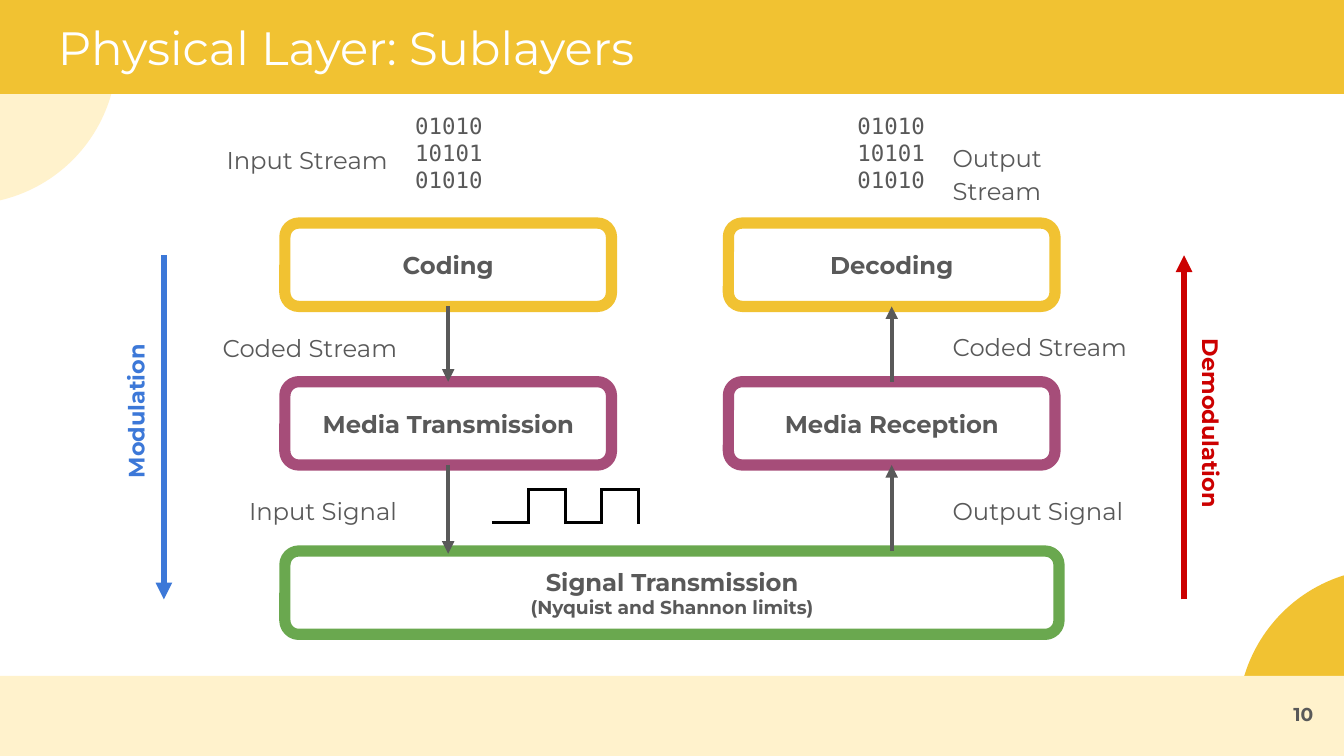
from typing import NamedTuple

from lxml.etree import SubElement
from pptx import Presentation
from pptx.dml.color import RGBColor
from pptx.enum.shapes import MSO_CONNECTOR, MSO_SHAPE as Preset
from pptx.enum.text import MSO_ANCHOR as Anchor, MSO_AUTO_SIZE as AutoSize, PP_ALIGN as Align
from pptx.oxml.ns import qn
from pptx.util import Inches, Pt

WHITE = RGBColor(0xFF, 0xFF, 0xFF)
BLACK = RGBColor(0x00, 0x00, 0x00)
GRAY = RGBColor(0x59, 0x59, 0x59)
YELLOW = RGBColor(0xF1, 0xC2, 0x32)
CREAM = RGBColor(0xFF, 0xF2, 0xCC)
PURPLE = RGBColor(0xA6, 0x4D, 0x79)
GREEN = RGBColor(0x6A, 0xA8, 0x4F)
BLUE = RGBColor(0x3C, 0x78, 0xD8)
RED = RGBColor(0xCC, 0x00, 0x00)

SANS = "Montserrat"
MONO = "DejaVu Sans Mono"
LEFT_BOX, RIGHT_BOX = 2.12, 5.42
BOX_WIDTH, BOX_HEIGHT = 2.43, 0.62
LABEL_WIDTH, LABEL_HEIGHT = 1.55, 0.42
RIGHT_LABEL = 6.99
CODING_TOP, MEDIA_TOP, SIGNAL_TOP = 1.66, 2.84, 4.1


class Area(NamedTuple):
    left: float
    top: float
    width: float
    height: float


class Style(NamedTuple):
    size: float = 13
    color: RGBColor = GRAY
    bold: bool = False
    name: str = SANS


class Decoration(NamedTuple):
    preset: Preset
    area: Area
    color: RGBColor


class Sublayer(NamedTuple):
    area: Area
    color: RGBColor
    lines: tuple


class Label(NamedTuple):
    text: str
    left: float
    top: float
    align: Align


class Direction(NamedTuple):
    text: str
    area: Area
    rotation: int
    color: RGBColor
    x: float
    start: float
    end: float


def inches(values) -> list:
    return [Inches(value) for value in values]


def set_values(target, values: dict) -> None:
    for name, value in values.items():
        setattr(target, name, value)


def write(shape, lines, align=Align.LEFT, anchor=Anchor.TOP, grow=False, spacing=None) -> None:
    frame = shape.text_frame
    margins = dict.fromkeys(("margin_left", "margin_top", "margin_right", "margin_bottom"), Inches(0.1))
    set_values(frame, {
        **margins, "word_wrap": True, "vertical_anchor": anchor,
        "auto_size": AutoSize.SHAPE_TO_FIT_TEXT if grow else AutoSize.NONE,
    })
    for index, (text, style) in enumerate(lines):
        paragraph = frame.add_paragraph() if index else frame.paragraphs[0]
        set_values(paragraph, {"alignment": align, **(spacing or {})})
        run = paragraph.add_run()
        run.text = text
        set_values(run.font, {"size": Pt(style.size), "bold": style.bold, "name": style.name})
        run.font.color.rgb = style.color


def add_text(slide, area: Area, text: str, style: Style, **options):
    shape = slide.shapes.add_textbox(*inches(area))
    write(shape, [(text, style)], **options)
    return shape


def add_decoration(slide, decoration: Decoration) -> None:
    shape = slide.shapes.add_shape(decoration.preset, *inches(decoration.area))
    shape.shadow.inherit = False
    shape.fill.solid()
    shape.fill.fore_color.rgb = decoration.color
    shape.line.fill.background()


def add_sublayer(slide, sublayer: Sublayer):
    shape = slide.shapes.add_shape(Preset.ROUNDED_RECTANGLE, *inches(sublayer.area))
    shape.shadow.inherit = False
    shape.fill.background()
    shape.line.color.rgb = sublayer.color
    shape.line.width = Pt(6)
    write(shape, sublayer.lines, Align.CENTER, Anchor.MIDDLE)
    return shape


def add_line(shapes, start, end, color: RGBColor, width: float, arrow: bool = True):
    connector = shapes.add_connector(MSO_CONNECTOR.STRAIGHT, *inches((*start, *end)))
    connector.line.color.rgb = color
    connector.line.width = Pt(width)
    if arrow:
        SubElement(connector.line._get_or_add_ln(), qn("a:tailEnd"), type="triangle")
    SubElement(connector._element.spPr, qn("a:effectLst"))
    return connector


def add_square_wave(slide, left: float, right: float, high: float, low: float) -> None:
    overlap = 0.01
    steps = 4
    step = (right - left) / steps
    group = slide.shapes.add_group_shape()
    for index in range(steps):
        x = left + index * step
        edge = x + step
        level = high if index % 2 else low
        add_line(group.shapes, (x, level), (edge + overlap, level), BLACK, 1.5, arrow=False)
        add_line(group.shapes, (edge, low + overlap), (edge, high - overlap), BLACK, 1.5, arrow=False)


DECORATIONS = (
    Decoration(Preset.OVAL, Area(9.21, 4.23, 2.25, 2.25), YELLOW),
    Decoration(Preset.RECTANGLE, Area(0, 5.03, 10, 0.6), CREAM),
    Decoration(Preset.OVAL, Area(-1.38, -0.73, 2.25, 2.25), CREAM),
    Decoration(Preset.RECTANGLE, Area(0, 0, 10, 0.7), YELLOW),
)
HEADING = Style(bold=True)
SUBLAYERS = (
    Sublayer(Area(LEFT_BOX, SIGNAL_TOP, 5.76, BOX_HEIGHT), GREEN,
             (("Signal Transmission", HEADING), ("(Nyquist and Shannon limits)", Style(10, bold=True)))),
    *(Sublayer(Area(left, top, BOX_WIDTH, BOX_HEIGHT), color, ((text, HEADING),))
      for text, left, top, color in (
          ("Media Transmission", LEFT_BOX, MEDIA_TOP, PURPLE),
          ("Media Reception", RIGHT_BOX, MEDIA_TOP, PURPLE),
          ("Coding", LEFT_BOX, CODING_TOP, YELLOW),
          ("Decoding", RIGHT_BOX, CODING_TOP, YELLOW))),
)
LABELS = (
    Label("Input Stream", 1.43, 0.95, Align.RIGHT),
    Label("Output Stream", RIGHT_LABEL, 0.93, Align.LEFT),
    Label("Coded Stream", 1.5, 2.35, Align.RIGHT),
    Label("Coded Stream", RIGHT_LABEL, 2.34, Align.LEFT),
    Label("Input Signal", 1.5, 3.56, Align.RIGHT),
    Label("Output Signal", RIGHT_LABEL, 3.56, Align.LEFT),
)
DIRECTIONS = (
    Direction("Modulation", Area(0.27, 2.86, 1.48, 0.4), 270, BLUE, 1.22, 1.9, 4.46),
    Direction("Demodulation", Area(8.27, 2.95, 1.48, 0.4), 90, RED, 8.81, 4.46, 1.9),
)


def main() -> None:
    presentation = Presentation()
    presentation.slide_width = Inches(10)
    presentation.slide_height = presentation.slide_width * 9 // 16
    slide = presentation.slides.add_slide(presentation.slide_layouts[5])

    for decoration in DECORATIONS:
        add_decoration(slide, decoration)
    title = slide.shapes.title
    set_values(title, dict(zip(Area._fields, inches((0.33, 0.04, 9.32, 0.63)))))
    write(title, [("Physical Layer: Sublayers", Style(25, WHITE))])
    slide.shapes._spTree.append(title._element)

    signal, transmission, reception, coding, decoding = [add_sublayer(slide, item) for item in SUBLAYERS]
    for left in (2.98, 6.27):
        add_text(slide, Area(left, 0.72, 0.72, 0.83), "010101010101010", Style(12, name=MONO),
                 align=Align.CENTER, anchor=Anchor.MIDDLE)
    for label in LABELS:
        add_text(slide, Area(label.left, label.top, LABEL_WIDTH, LABEL_HEIGHT), label.text, Style(),
                 align=label.align, grow=True, spacing={"line_spacing": 1.15, "space_after": Pt(12)})

    left_x, right_x = LEFT_BOX + BOX_WIDTH / 2, RIGHT_BOX + BOX_WIDTH / 2
    coding_bottom, media_bottom = CODING_TOP + BOX_HEIGHT, MEDIA_TOP + BOX_HEIGHT
    for x, start, end, source, target in (
        (left_x, coding_bottom, MEDIA_TOP, (coding, 2), (transmission, 0)),
        (left_x, media_bottom, SIGNAL_TOP + 0.02, (transmission, 2), None),
        (right_x, SIGNAL_TOP, media_bottom, None, (reception, 2)),
        (right_x, MEDIA_TOP, coding_bottom, (reception, 0), (decoding, 2)),
    ):
        connector = add_line(slide.shapes, (x, start), (x, end), GRAY, 2.25)
        if source:
            connector.begin_connect(*source)
        if target:
            connector.end_connect(*target)

    for direction in DIRECTIONS:
        caption = add_text(slide, direction.area, direction.text, Style(12, direction.color, True),
                           align=Align.CENTER, grow=True)
        caption.rotation = direction.rotation
        add_line(slide.shapes, (direction.x, direction.start), (direction.x, direction.end), direction.color, 3)

    add_square_wave(slide, 3.66, 4.75, 3.64, 3.89)
    add_text(slide, Area(9.27, 5.1, 0.6, 0.43), "10", Style(10, bold=True),
             align=Align.RIGHT, anchor=Anchor.MIDDLE)
    presentation.save("out.pptx")


if __name__ == "__main__":
    main()
